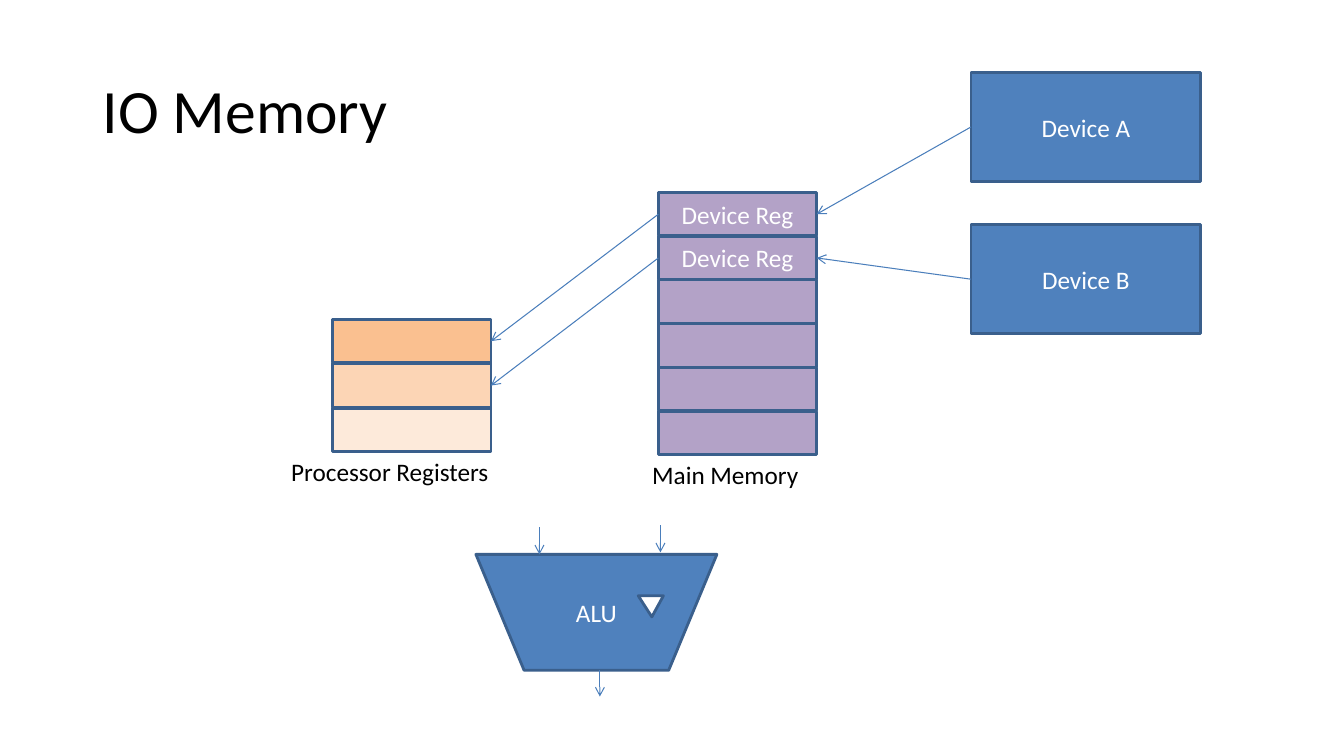
from lxml.etree import SubElement
from pptx import Presentation
from pptx.dml.color import RGBColor
from pptx.enum.shapes import MSO_CONNECTOR as Connector, MSO_SHAPE as Shape
from pptx.enum.text import MSO_ANCHOR as Anchor, PP_ALIGN as Align
from pptx.oxml.ns import qn
from pptx.util import Inches, Pt

COLORS = {
    "blue": "4F81BD",
    "outline": "3A5F8C",
    "arrow": "4A7EBB",
    "purple": "B3A2C7",
    "orange": "FAC090",
    "peach": "FCD5B5",
    "cream": "FDEADA",
    "white": "FFFFFF",
    "black": "000000",
}
TOP, LEFT, BOTTOM, RIGHT = range(4)
CELL_HEIGHT = 0.43


def color(name):
    return RGBColor.from_string(COLORS[name])


def write(shape, words, ink, size=18, align=Align.LEFT, anchor=Anchor.TOP):
    frame = shape.text_frame
    layout = {
        "word_wrap": True,
        "vertical_anchor": anchor,
        "margin_left": Inches(0.1),
        "margin_right": Inches(0.1),
        "margin_top": Inches(0.05),
        "margin_bottom": Inches(0.05),
    }
    for key, value in layout.items():
        setattr(frame, key, value)
    paragraph = frame.paragraphs[0]
    paragraph.alignment = align
    run = paragraph.add_run()
    run.text = words
    for key, value in {"name": "Calibri", "size": Pt(size)}.items():
        setattr(run.font, key, value)
    run.font.color.rgb = color(ink)
    return paragraph


def add_block(slide, box, fill, words="", kind=Shape.RECTANGLE):
    block = slide.shapes.add_shape(kind, *map(Inches, box))
    block.shadow.inherit = False
    block.fill.solid()
    block.fill.fore_color.rgb = color(fill)
    block.line.color.rgb = color("outline")
    block.line.width = Pt(2)
    if words:
        write(block, words, "white", align=Align.CENTER, anchor=Anchor.MIDDLE)
    return block


def add_arrow(slide, start, end):
    arrow = slide.shapes.add_connector(
        Connector.STRAIGHT, *map(Inches, (*start, *end)))
    arrow.line.color.rgb = color("arrow")
    arrow.line.width = Pt(0.75)
    SubElement(arrow.line._get_or_add_ln(), qn("a:tailEnd"), type="arrow")
    SubElement(arrow._element.spPr, qn("a:effectLst"))
    return arrow


def link(slide, source, target):
    arrow = add_arrow(slide, (0, 0), (1, 1))
    arrow.begin_connect(source, LEFT)
    arrow.end_connect(target, RIGHT)


def add_title(slide, box):
    title = slide.shapes.add_textbox(*map(Inches, box))
    paragraph = write(title, "IO Memory", "black", 44, anchor=Anchor.MIDDLE)
    paragraph.line_spacing = 0.9


def add_stack(slide, box, cells, caption, caption_offset, caption_width):
    left, top, width, height = box
    step = (height - CELL_HEIGHT) / (len(cells) - 1)
    blocks = [
        add_block(slide, (left, top + i * step, width, CELL_HEIGHT), fill, words)
        for i, (fill, words) in enumerate(cells)
    ]
    label = slide.shapes.add_textbox(
        Inches(left + caption_offset), Inches(top + height),
        Inches(caption_width), Inches(0.4))
    write(label, caption, "black")
    return blocks


def add_devices(slide, box, names):
    left, top, width, height = box
    device_height = 1.08
    step = (height - device_height) / (len(names) - 1)
    return [
        add_block(slide, (left, top + i * step, width, device_height), "blue", name)
        for i, name in enumerate(names)
    ]


def add_alu(slide, box):
    left, top, width, height = box
    add_block(slide, box, "blue", "ALU", Shape.FLOWCHART_MANUAL_OPERATION)
    notch = add_block(slide, (left + 1.61, top + 0.41, 0.25, 0.21), "white",
                      kind=Shape.ISOSCELES_TRIANGLE)
    notch.rotation = 180
    notch.adjustments[0] = 0.46
    bottom = top + height
    for offset, start, end in (
        (0.63, top - 0.27, top),
        (1.83, top - 0.29, top - 0.02),
        (1.23, bottom, bottom + 0.26),
    ):
        add_arrow(slide, (left + offset, start), (left + offset, end))


def add_io_memory(slide):
    add_title(slide, (0.92, 0.4, 11.5, 1.45))
    add_alu(slide, (4.72, 5.5, 2.39, 1.15))
    registers = add_stack(
        slide, (3.3, 3.17, 1.57, 1.31),
        [(fill, "") for fill in ("orange", "peach", "cream")],
        "Processor Registers", -0.51, 2.64)
    memory = add_stack(
        slide, (6.53, 1.91, 1.57, 2.6),
        [("purple", "Device Reg")] * 2 + [("purple", "")] * 4,
        "Main Memory", -0.16, 1.89)
    devices = add_devices(
        slide, (9.63, 0.72, 2.28, 2.59), ("Device A", "Device B"))
    for device, cell, register in zip(devices, memory, registers):
        link(slide, device, cell)
        link(slide, cell, register)


def main():
    deck = Presentation()
    deck.slide_width = Inches(13.33)
    deck.slide_height = Inches(7.5)
    add_io_memory(deck.slides.add_slide(deck.slide_layouts[6]))
    deck.save("out.pptx")


if __name__ == "__main__":
    main()
